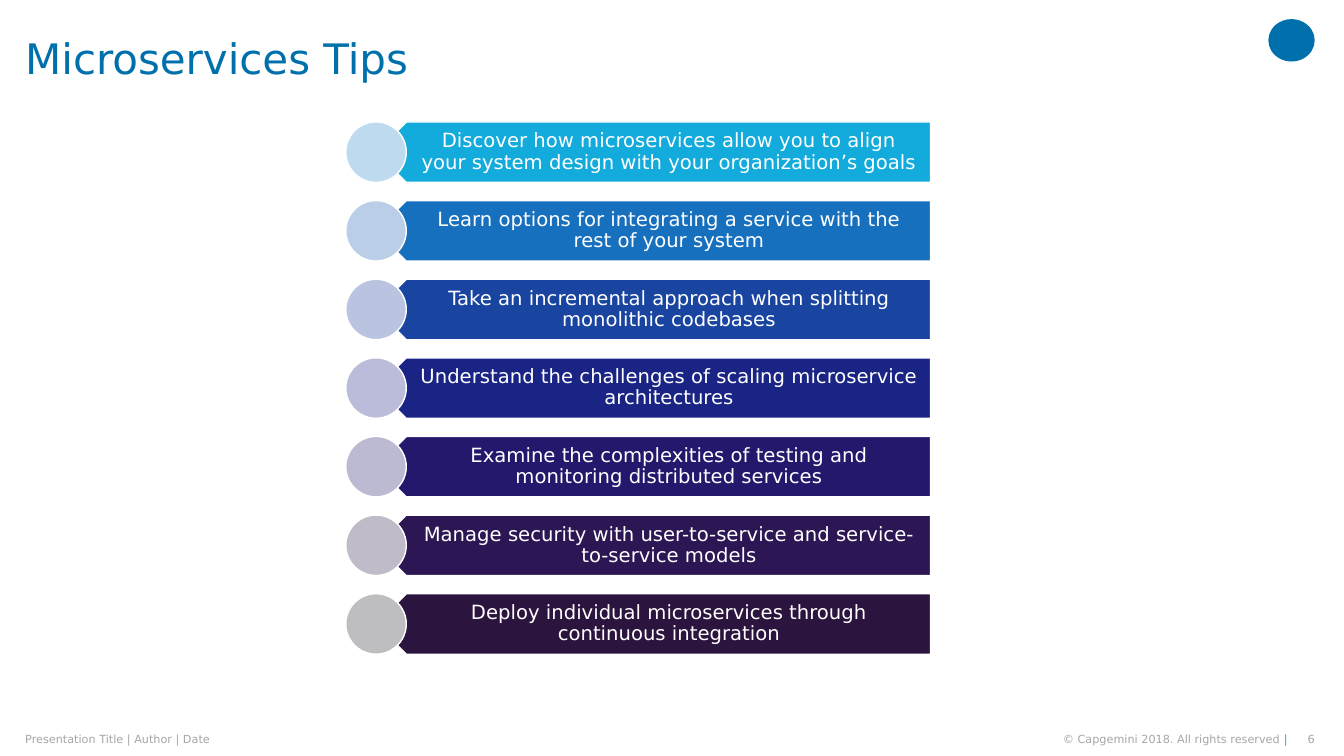
from dataclasses import dataclass

from pptx import Presentation
from pptx import util as u
from pptx.dml.color import RGBColor
from pptx.enum import shapes, text


@dataclass(frozen=True)
class Theme:
    """Colours, font and type sizes of the slide."""
    font: str = "DejaVu Sans"
    title: str = "0070AD"
    accent: str = "12ABDB"
    muted: str = "A6A6A6"
    white: str = "FFFFFF"
    title_size: int = 30
    body_size: int = 14
    footer_size: int = 8


T = Theme()
WIDTH, HEIGHT = 13.33, 7.5
MARGIN = 0.25
TIPS = [
    ("Discover how microservices allow you to align your system design with your organization’s goals", "12ABDB", "BDDAEE"),
    ("Learn options for integrating a service with the rest of your system", "1670BD", "BBCEE8"),
    ("Take an incremental approach when splitting monolithic codebases", "1944A0", "BAC4E1"),
    ("Understand the challenges of scaling microservice architectures", "1A2485", "BABCDA"),
    ("Examine the complexities of testing and monitoring distributed services", "23196C", "BCBAD2"),
    ("Manage security with user-to-service and service-to-service models", "2C1754", "BFBBC9"),
    ("Deploy individual microservices through continuous integration", "2B143D", "BEBDBF"),
]


def rgb(value):
    """Turn a hex string into a colour."""
    return RGBColor.from_string(value)


def add_text(s, box, runs, size, align=text.PP_ALIGN.LEFT, insets=(0, 0, 0, 0), spacing=None, wrap=True):
    """Place one paragraph of (wording, colour) runs in a box, centred vertically."""
    tf = s.shapes.add_textbox(*map(u.Inches, box)).text_frame
    tf.word_wrap = wrap
    tf.vertical_anchor = text.MSO_ANCHOR.MIDDLE
    tf.margin_left, tf.margin_top, tf.margin_right, tf.margin_bottom = map(u.Inches, insets)
    p = tf.paragraphs[0]
    p.alignment = align
    if spacing:
        p.line_spacing = spacing
    for wording, colour in runs:
        r = p.add_run()
        r.text = wording
        r.font.name = T.font
        r.font.size = u.Pt(size)
        r.font.color.rgb = rgb(colour)


def add_filled(s, kind, box, fill, line=None):
    """Place a flat preset shape in a box, outlined when a line colour is given."""
    sp = s.shapes.add_shape(kind, *map(u.Inches, box))
    sp.shadow.inherit = False
    sp.fill.solid()
    sp.fill.fore_color.rgb = rgb(fill)
    if line:
        sp.line.color.rgb = rgb(line)
        sp.line.width = u.Pt(1)
    else:
        sp.line.fill.background()
    return sp


def add_header(s, x, y, w, h):
    """Place the title at the left and a plain mark at the right."""
    add_text(s, (x, y, w * 0.95, h), [("Microservices Tips", T.title)], T.title_size, spacing=0.9)
    add_filled(s, shapes.MSO_SHAPE.OVAL, (x + w - 0.46, y + 0.19, 0.46, 0.42), T.title)


def add_tip(s, x, y, w, h, wording, fill, tint):
    """Place one tip: a left-pointing bar, its wording and a circle over the tip."""
    bar = add_filled(s, shapes.MSO_SHAPE.PENTAGON, (x + h / 2, y, w - h / 2, h), fill, T.white)
    bar.rotation = 180
    add_text(s, (x + h * 0.75, y, w - h * 0.75, h), [(wording, T.white)], T.body_size,
             text.PP_ALIGN.CENTER, (0.27, 0.06, 0.11, 0.06), 0.9)
    add_filled(s, shapes.MSO_SHAPE.OVAL, (x, y, h, h), tint, T.white)


def add_tips(s, x, y, w, h):
    """Stack the tips at an equal pitch so that they fill the box."""
    bar_height = 0.6
    pitch = (h - bar_height) / (len(TIPS) - 1)
    for i, tip in enumerate(TIPS):
        add_tip(s, x, y + i * pitch, w, bar_height, *tip)


def add_footer(s, x, y, w, h):
    """Place the deck details, the copyright line and the page number."""
    right = text.PP_ALIGN.RIGHT
    add_text(s, (x, y, w * 0.4, h), [("Presentation Title | Author | Date", T.muted)], T.footer_size, wrap=False)
    add_text(s, (x + w * 0.75, y, w * 0.229, h),
             [("© Capgemini 2018. All rights reserved ", T.muted), ("|", T.accent)], T.footer_size, right)
    add_text(s, (x + w - 0.19, y, 0.19, h), [("6", T.muted)], T.footer_size, right, wrap=False)


def main():
    """Build the slide and save it."""
    prs = Presentation()
    prs.slide_width, prs.slide_height = u.Inches(WIDTH), u.Inches(HEIGHT)
    s = prs.slides.add_slide(prs.slide_layouts[6])
    inner = WIDTH - 2 * MARGIN
    add_header(s, MARGIN, 0, inner - 0.04, 1.21)
    add_tips(s, 3.43, 1.21, 5.8, 5.28)
    add_footer(s, MARGIN, 7.27, inner - 0.04, 0.13)
    prs.save("out.pptx")


if __name__ == "__main__":
    main()
